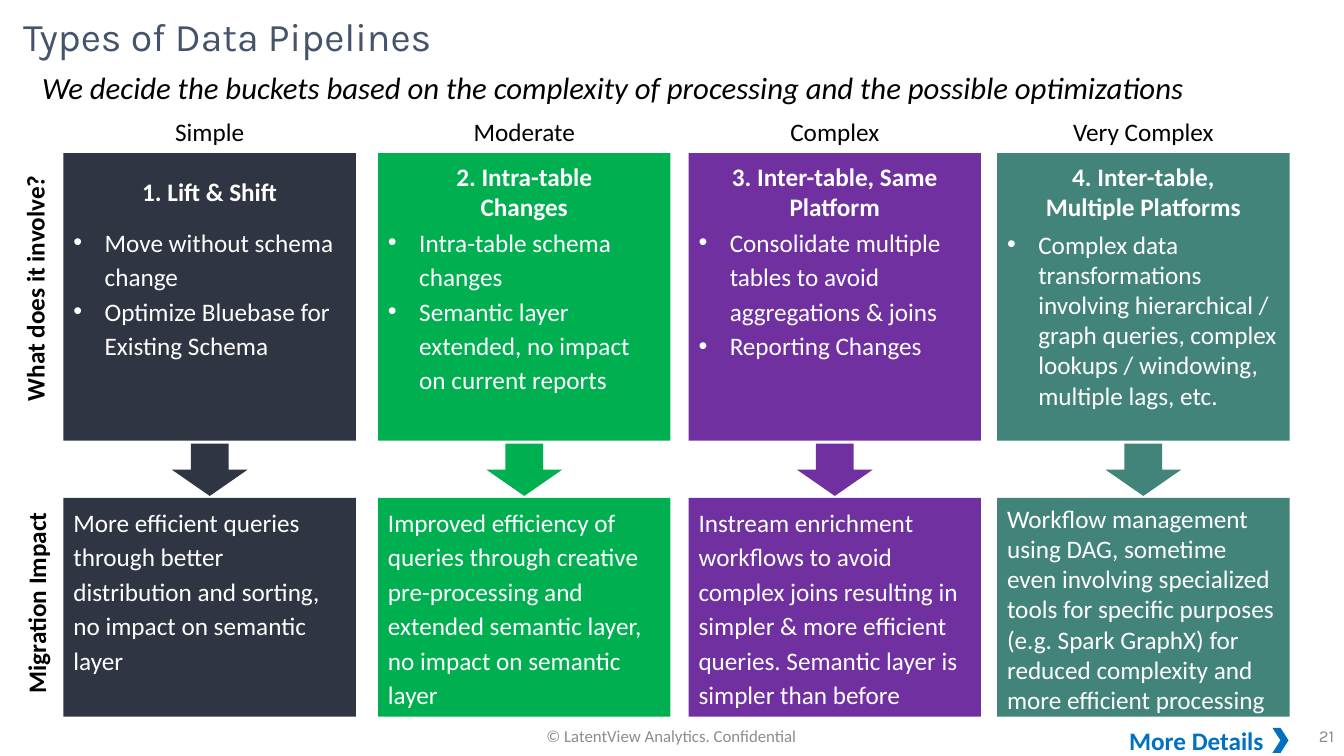
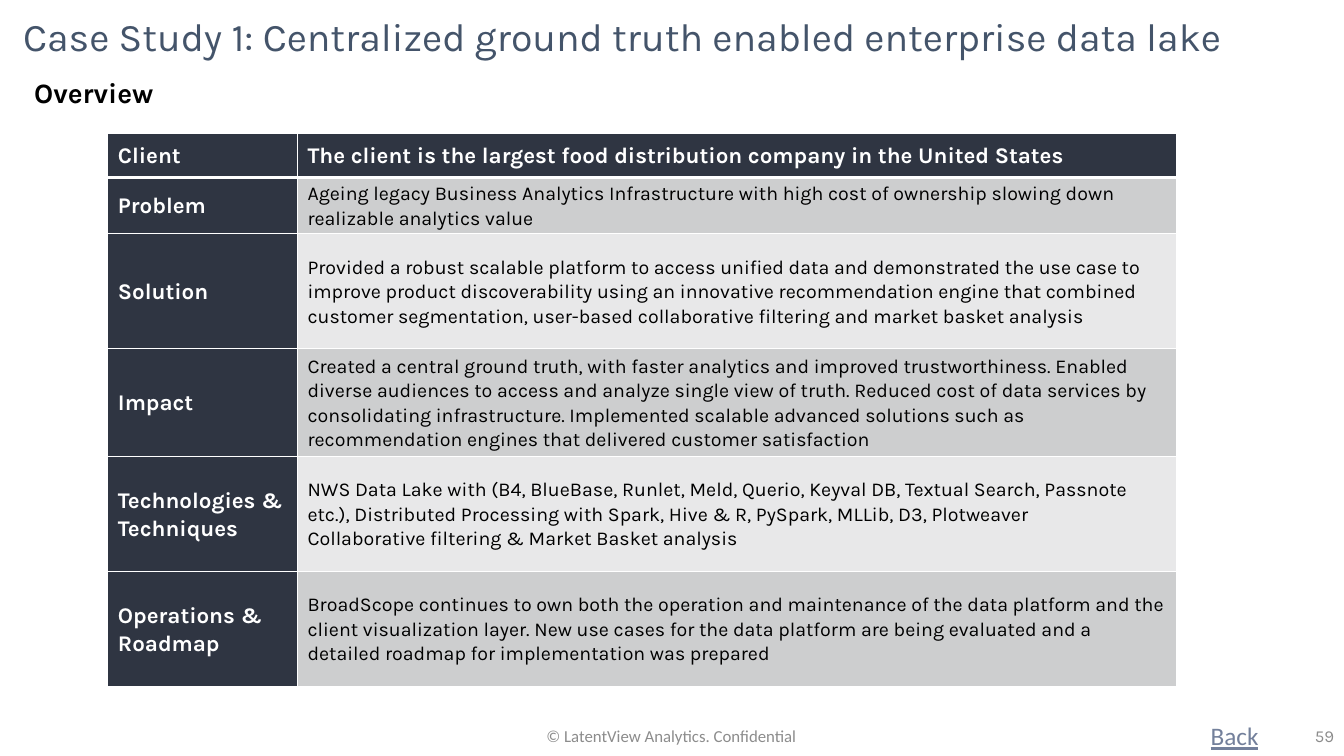
from lxml import etree
from pptx import Presentation
from pptx.dml.color import RGBColor
from pptx.enum.shapes import MSO_SHAPE as Preset
from pptx.enum.text import MSO_ANCHOR as Anchor, MSO_AUTO_SIZE as AutoSize, PP_ALIGN as Align
from pptx.oxml import parse_xml
from pptx.oxml.ns import nsdecls, qn
from pptx.util import Inches, Pt

BLACK = RGBColor(0x00, 0x00, 0x00)
WHITE = RGBColor(0xFF, 0xFF, 0xFF)
SLATE = RGBColor(0x44, 0x54, 0x6A)
GRAY = RGBColor(0x8C, 0x8C, 0x8C)
NAVY = RGBColor(0x2F, 0x35, 0x42)
GREEN = RGBColor(0x00, 0xB0, 0x50)
PURPLE = RGBColor(0x70, 0x30, 0xA0)
TEAL = RGBColor(0x42, 0x84, 0x7A)
BLUE = RGBColor(0x00, 0x70, 0xC0)
LINK = RGBColor(0x73, 0x80, 0x9B)
BAND_DARK = RGBColor(0xCD, 0xCE, 0xCF)
BAND_LIGHT = RGBColor(0xE8, 0xE8, 0xE9)

TITLE = {"name": "Karla", "size": Pt(28), "bold": False}
SUBTITLE = {"name": "Calibri", "size": Pt(22), "italic": True}
HEADING = {"name": "Karla", "size": Pt(20), "bold": True}
BODY = {"name": "Calibri", "size": Pt(18)}
STRONG = {**BODY, "bold": True}
FOOTER = {"name": "Calibri", "size": Pt(12)}
PAGE_NUMBER = {**FOOTER, "name": "Karla"}
TABLE_LABEL = {"name": "Karla", "size": Pt(16), "bold": True}
TABLE_TEXT = {"name": "Karla", "size": Pt(14), "bold": False}

FOOTER_TOP = 7.1
LINE_HEIGHT = 0.4


def write(text_frame, lines, font_format, color, align=Align.LEFT, spacing=1.0, bullet=False):
    """Fill a text frame, one paragraph per line, in a single format."""
    for index, line in enumerate(lines):
        paragraph = text_frame.paragraphs[0] if index == 0 else text_frame.add_paragraph()
        paragraph.alignment = align
        paragraph.line_spacing = spacing
        if bullet:
            properties = paragraph._p.get_or_add_pPr()
            properties.set("marL", str(Inches(0.31)))
            properties.set("indent", str(-Inches(0.31)))
            etree.SubElement(properties, qn("a:buFont")).set("typeface", "Arial")
            etree.SubElement(properties, qn("a:buChar")).set("char", "•")
        run = paragraph.add_run()
        run.text = line
        for name, value in font_format.items():
            setattr(run.font, name, value)
        run.font.color.rgb = color


def add_box(slide, bounds, preset=None, fill=None, anchor=Anchor.TOP):
    """Add a text box, or a filled preset shape, at bounds given in inches."""
    bounds = [Inches(length) for length in bounds]
    if preset is None:
        shape = slide.shapes.add_textbox(*bounds)
    else:
        shape = slide.shapes.add_shape(preset, *bounds)
        shape.shadow.inherit = False
        shape.fill.solid()
        shape.fill.fore_color.rgb = fill
        shape.line.fill.background()
    shape.text_frame.word_wrap = True
    shape.text_frame.vertical_anchor = anchor
    return shape


presentation = Presentation()
presentation.slide_width = Inches(13.33)
presentation.slide_height = Inches(7.5)

# Shared title and footer
slides = []
for title_text, page_number in (
    ("Types of Data Pipelines", "21"),
    ("Case Study 1: Centralized ground truth enabled enterprise data lake", "59"),
):
    slide = presentation.slides.add_slide(presentation.slide_layouts[5])
    slides.append(slide)
    title = slide.shapes.title
    for name, length in {"left": 0.13, "top": 0, "width": 12.25, "height": 0.77}.items():
        setattr(title, name, Inches(length))
    title.text_frame.auto_size = AutoSize.NONE
    title.text_frame.vertical_anchor = Anchor.MIDDLE
    write(title.text_frame, [title_text], TITLE, SLATE, spacing=0.9)
    for left, width, text, font_format, align in (
        (4.41, 4.5, "© LatentView Analytics. Confidential", FOOTER, Align.CENTER),
        (10.33, 3, page_number, PAGE_NUMBER, Align.RIGHT),
    ):
        box = add_box(slide, (left, FOOTER_TOP, width, LINE_HEIGHT), anchor=Anchor.MIDDLE)
        write(box.text_frame, [text], font_format, GRAY, align)

pipelines, case_study = slides

# Pipeline types: one column per bucket
COLUMN_WIDTH = 2.9
HEADER_WIDTH = 2.5
ARROW_WIDTH = 0.75
LOOSE = 1.14
buckets = (
    (0.63, NAVY, "Simple", "1. Lift & Shift",
     ["Move without schema change", "Optimize Bluebase for Existing Schema"],
     "More efficient queries through better distribution and sorting, "
     "no impact on semantic layer", LOOSE, 0.69),
    (3.75, GREEN, "Moderate", "2. Intra-table Changes",
     ["Intra-table schema changes", "Semantic layer extended, no impact on current reports"],
     "Improved efficiency of queries through creative pre-processing and extended "
     "semantic layer, no impact on semantic layer", LOOSE, 0.69),
    (6.83, PURPLE, "Complex", "3. Inter-table, Same Platform",
     ["Consolidate multiple tables to avoid aggregations & joins", "Reporting Changes"],
     "Instream enrichment workflows to avoid complex joins resulting in simpler & more "
     "efficient queries. Semantic layer is simpler than before", LOOSE, 0.69),
    (9.89, TEAL, "Very Complex", "4. Inter-table, Multiple Platforms",
     ["Complex data transformations involving hierarchical / graph queries, "
      "complex lookups / windowing, multiple lags, etc."],
     "Workflow management using DAG, sometime even involving specialized tools for specific "
     "purposes (e.g. Spark GraphX) for reduced complexity and more efficient processing",
     1.0, 0.75),
)
for left, color, level, header, points, impact, spacing, inset in buckets:
    box = add_box(pipelines, (left, 1.11, COLUMN_WIDTH, LINE_HEIGHT))
    write(box.text_frame, [level], BODY, BLACK, Align.CENTER)

    for top, height, lines, bullet, top_inset in (
        (1.52, 2.85, points, True, inset),
        (4.94, 2.17, [impact], False, 0.05),
    ):
        panel = add_box(pipelines, (left, top, COLUMN_WIDTH, height),
                        Preset.ROUNDED_RECTANGLE, color)
        panel.adjustments[0] = 0
        panel.text_frame.margin_top = Inches(top_inset)
        write(panel.text_frame, lines, BODY, WHITE, spacing=spacing, bullet=bullet)

    header_left = left + (COLUMN_WIDTH - HEADER_WIDTH) / 2
    box = add_box(pipelines, (header_left, 1.6, HEADER_WIDTH, 0.6),
                  Preset.ROUNDED_RECTANGLE, color, Anchor.MIDDLE)
    write(box.text_frame, [header], STRONG, WHITE, Align.CENTER)
    arrow_left = left + (COLUMN_WIDTH - ARROW_WIDTH) / 2
    add_box(pipelines, (arrow_left, 4.4, ARROW_WIDTH, 0.52), Preset.DOWN_ARROW, color)

for left, top, width, text in (
    (-0.99, 2.66, 2.67, "What does it involve?"),
    (-0.66, 5.78, 2.04, "Migration Impact"),
):
    row_label = add_box(pipelines, (left, top, width, LINE_HEIGHT))
    row_label.rotation = 270
    write(row_label.text_frame, [text], STRONG, BLACK, Align.CENTER)

box = add_box(pipelines, (0.32, 0.63, 12.52, 0.47))
write(box.text_frame,
      ["We decide the buckets based on the complexity of processing "
       "and the possible optimizations"], SUBTITLE, BLACK)
box = add_box(pipelines, (9.94, 7.15, 2.69, 0.39), anchor=Anchor.MIDDLE)
write(box.text_frame, ["More Details"], STRONG, BLUE, Align.RIGHT)
add_box(pipelines, (12.62, 7.22, 0.16, 0.25), Preset.CHEVRON, BLUE)

# Case study: overview table
box = add_box(case_study, (0.24, 0.7, 3.58, 0.44))
write(box.text_frame, ["Overview"], HEADING, BLACK)
box = add_box(case_study, (11.91, FOOTER_TOP, 1.64, LINE_HEIGHT))
write(box.text_frame, ["Back"], {**BODY, "underline": True}, LINK)

overview = (
    (0.44, "Client", ["The client is the largest food distribution company in the United States"]),
    (0.56, "Problem", ["Ageing legacy Business Analytics Infrastructure with high cost of ownership "
                       "slowing down realizable analytics value"]),
    (1.14, "Solution", ["Provided a robust scalable platform to access unified data and demonstrated "
                        "the use case to improve product discoverability using an innovative "
                        "recommendation engine that combined customer segmentation, user-based "
                        "collaborative filtering and market basket analysis"]),
    (1.07, "Impact", ["Created a central ground truth, with faster analytics and improved "
                      "trustworthiness. Enabled diverse audiences to access and analyze single view "
                      "of truth. Reduced cost of data services by consolidating infrastructure. "
                      "Implemented scalable advanced solutions such as recommendation engines that "
                      "delivered customer satisfaction"]),
    (1.14, "Technologies & Techniques",
     ["NWS Data Lake with (B4, BlueBase, Runlet, Meld, Querio, Keyval DB, Textual Search, Passnote "
      "etc.), Distributed Processing with Spark, Hive & R, PySpark, MLLib, D3, Plotweaver",
      "Collaborative filtering & Market Basket analysis"]),
    (1.14, "Operations & Roadmap",
     ["BroadScope continues to own both the operation and maintenance of the data platform and the "
      "client visualization layer. New use cases for the data platform are being evaluated and a "
      "detailed roadmap for implementation was prepared"]),
)
column_widths = (1.88, 8.72)
table_height = sum(height for height, _, _ in overview)
table = case_study.shapes.add_table(
    len(overview), len(column_widths), Inches(1.07), Inches(1.32),
    Inches(sum(column_widths)), Inches(table_height)).table
table.first_row = table.horz_banding = False
for column, width in zip(table.columns, column_widths):
    column.width = Inches(width)

for row_index, (height, label, lines) in enumerate(overview):
    table.rows[row_index].height = Inches(height)
    is_header = row_index == 0
    band = BAND_DARK if row_index % 2 else BAND_LIGHT
    label_style = (TABLE_LABEL, WHITE, NAVY)
    text_style = label_style if is_header else (TABLE_TEXT, BLACK, band)
    for column_index, (texts, style) in enumerate((([label], label_style), (lines, text_style))):
        font_format, color, fill = style
        cell = table.cell(row_index, column_index)
        cell.vertical_anchor = Anchor.MIDDLE
        cell.margin_top = cell.margin_bottom = Inches(0.03)
        border_widths = {"lnL": 1, "lnR": 1, "lnT": 3 if row_index == 1 else 1,
                         "lnB": 3 if is_header else 1}
        for edge, width in border_widths.items():
            cell._tc.get_or_add_tcPr().append(parse_xml(
                f'<a:{edge} {nsdecls("a")} w="{Pt(width)}"><a:solidFill>'
                f'<a:srgbClr val="{WHITE}"/></a:solidFill></a:{edge}>'))
        cell.fill.solid()
        cell.fill.fore_color.rgb = fill
        write(cell.text_frame, texts, font_format, color, spacing=1.07)

presentation.save("out.pptx")
